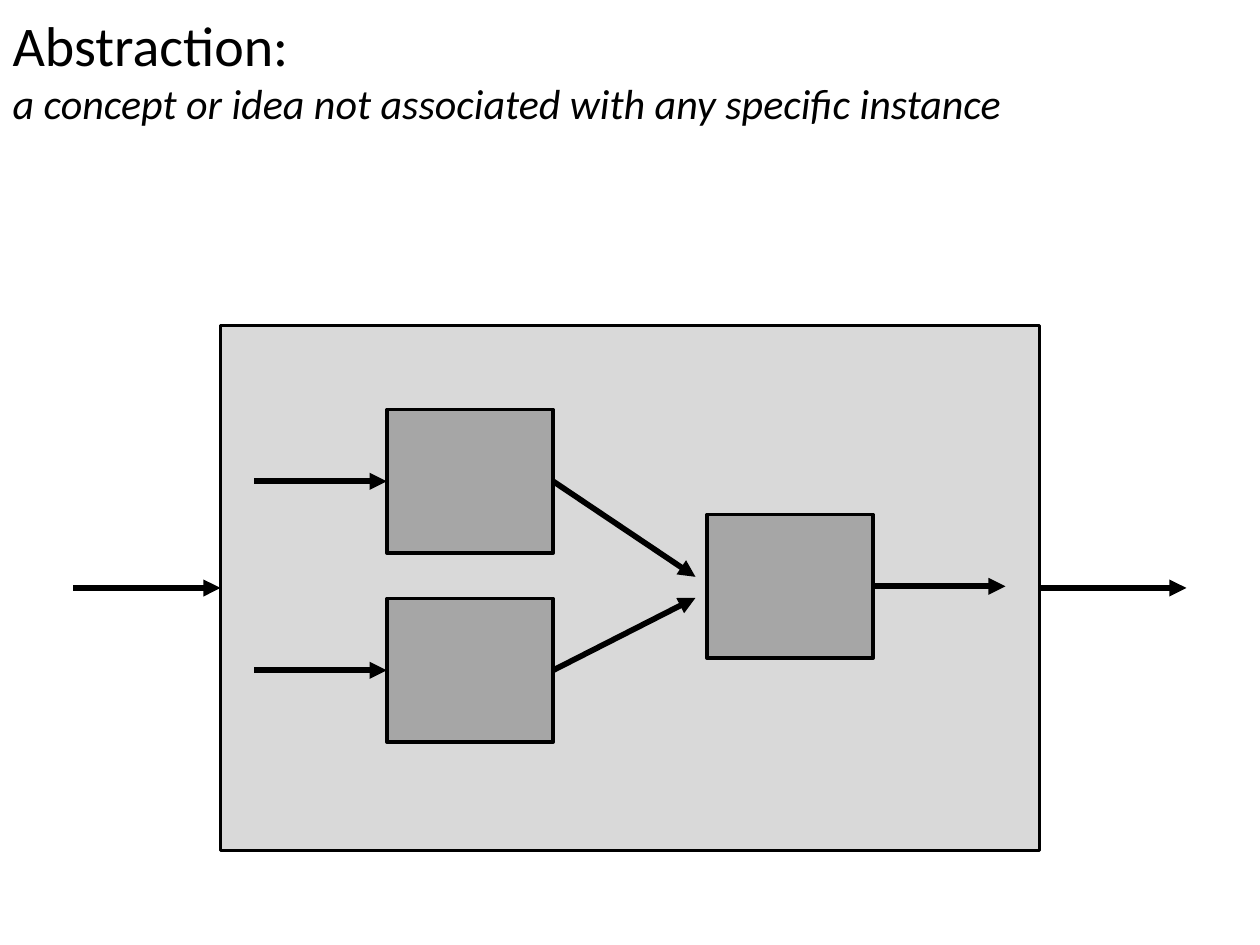
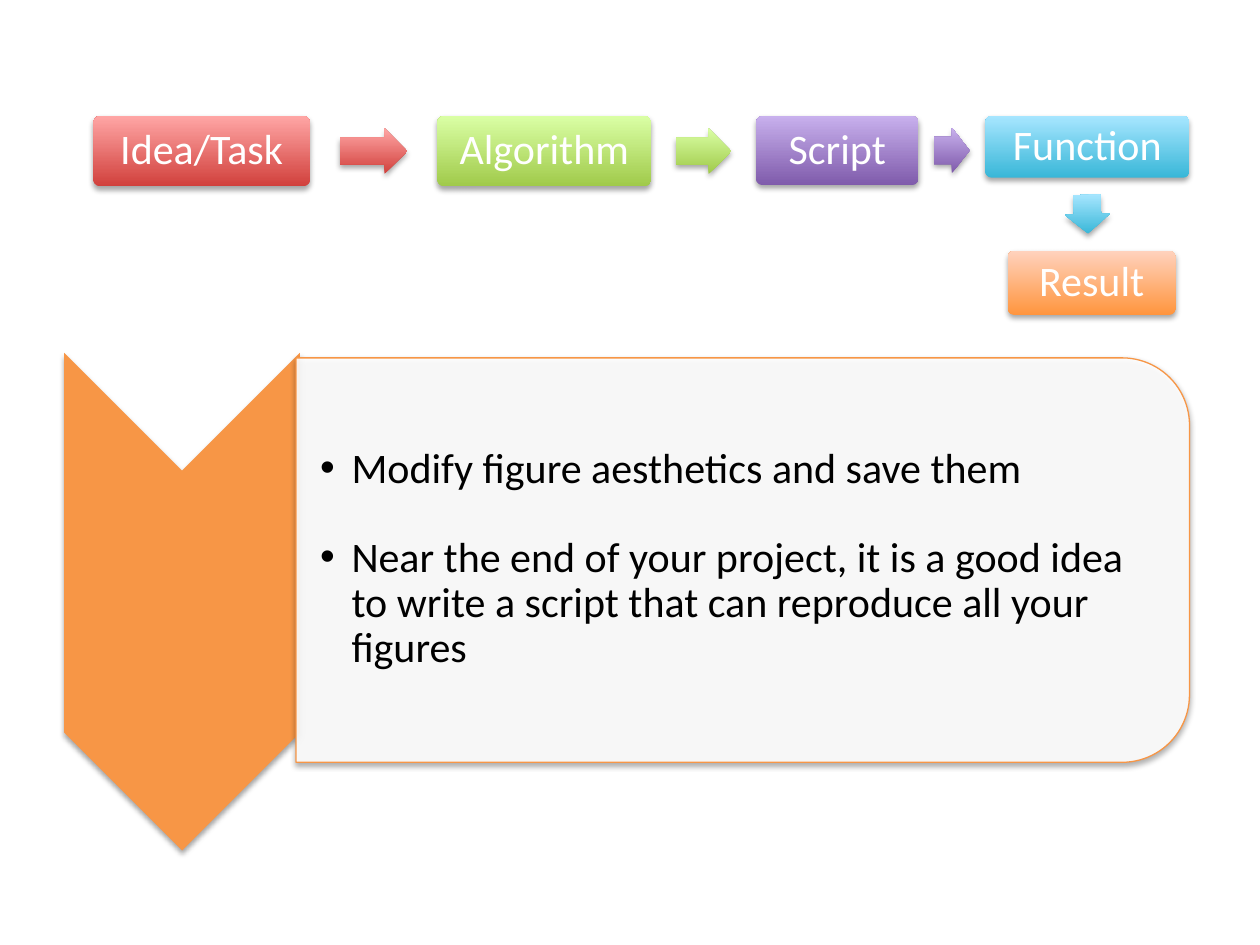
from typing import NamedTuple

from lxml import etree
from pptx import Presentation
from pptx.dml.color import RGBColor
from pptx.enum.shapes import MSO_CONNECTOR, MSO_SHAPE
from pptx.enum.text import MSO_ANCHOR, MSO_AUTO_SIZE, PP_ALIGN
from pptx.oxml.ns import qn
from pptx.util import Inches, Pt

RECT, PILL, ARROW = MSO_SHAPE.RECTANGLE, MSO_SHAPE.ROUNDED_RECTANGLE, MSO_SHAPE.RIGHT_ARROW
CHEVRON, ROUND_TOP = MSO_SHAPE.CHEVRON, MSO_SHAPE.ROUND_2_SAME_RECTANGLE
STRAIGHT = MSO_CONNECTOR.STRAIGHT
TOP, MIDDLE = MSO_ANCHOR.TOP, MSO_ANCHOR.MIDDLE
LEFT, CENTER = PP_ALIGN.LEFT, PP_ALIGN.CENTER
NO_FIT = MSO_AUTO_SIZE.NONE

COLUMNS, ROWS = 120, 90
WIDTH, HEIGHT = Inches(10), Inches(7.5)
FONT = "Calibri"
BLACK, WHITE, ORANGE = "000000", "FFFFFF", "F79646"
LIGHT_GREY, MID_GREY = "D9D9D9", "A6A6A6"


class Box(NamedTuple):
    """A rectangle in grid columns and rows."""
    x: float
    y: float
    w: float
    h: float

    @property
    def right(self):
        """Return the right edge."""
        return self.x + self.w

    @property
    def bottom(self):
        """Return the bottom edge."""
        return self.y + self.h

    @property
    def mid_x(self):
        """Return the horizontal centre."""
        return self.x + self.w / 2

    @property
    def mid_y(self):
        """Return the vertical centre."""
        return self.y + self.h / 2

    def inner(self, x, y, w, h):
        """Return a box offset from this one's corner."""
        return Box(self.x + x, self.y + y, w, h)

    def turned(self):
        """Swap width and height around the centre."""
        return Box(self.mid_x - self.h / 2, self.mid_y - self.w / 2, self.h, self.w)

    def emu(self):
        """Return left, top, width and height as slide lengths."""
        return (*point(self.x, self.y), *point(self.w, self.h))


def point(x, y):
    """Convert grid columns and rows to slide lengths."""
    return round(x * WIDTH / COLUMNS), round(y * HEIGHT / ROWS)


def rgb(value):
    """Return the colour of a hex string."""
    return RGBColor.from_string(value)


def apply(target, values):
    """Set each attribute in values on target."""
    for name, value in values.items():
        setattr(target, name, value)


def add_run(paragraph, text, size, color, italic=False):
    """Append formatted text to a paragraph."""
    run = paragraph.add_run()
    run.text = text
    apply(run.font, {"name": FONT, "size": Pt(size), "italic": italic})
    run.font.color.rgb = rgb(color)


def add_shape(slide, kind, box, fill=None, outline=None, weight=1, rotation=0):
    """Add a flat preset shape."""
    shape = slide.shapes.add_shape(kind, *box.emu())
    apply(shape, {"rotation": rotation})
    shape.shadow.inherit = False
    if fill:
        shape.fill.solid()
        shape.fill.fore_color.rgb = rgb(fill)
    if outline:
        shape.line.color.rgb = rgb(outline)
        shape.line.width = Pt(weight)
    else:
        shape.line.fill.background()
    return shape


def add_shadow(shape):
    """Cast a soft shadow straight down."""
    effects = shape._element.spPr.find(qn("a:effectLst"))
    outer = etree.SubElement(effects, qn("a:outerShdw"), blurRad="40000",
                             dist="23000", dir="5400000", rotWithShape="0")
    tint = etree.SubElement(outer, qn("a:srgbClr"), val=BLACK)
    etree.SubElement(tint, qn("a:alpha"), val="35000")


def shade(shape, dark, light):
    """Fill a shape from dark at the bottom to light at the top."""
    shape.fill.gradient()
    shape.fill.gradient_angle = 90
    for stop, color in zip(shape.fill.gradient_stops, (dark, light)):
        stop.color.rgb = rgb(color)
    shape._element.spPr.find(qn("a:gradFill")).set("rotWithShape", "0")
    add_shadow(shape)


def add_arrow(slide, start, end):
    """Draw a line with a triangular head between two grid points."""
    arrow = slide.shapes.add_connector(STRAIGHT, *point(*start), *point(*end))
    arrow.line.color.rgb = rgb(BLACK)
    arrow.line.width = Pt(3.25)
    etree.SubElement(arrow.line._get_or_add_ln(), qn("a:tailEnd"), type="triangle")
    etree.SubElement(arrow._element.spPr, qn("a:effectLst"))


def add_heading(slide, box, term, definition):
    """Write a term and its definition in the title placeholder."""
    title = slide.shapes.title
    apply(title, dict(zip(("left", "top", "width", "height"), box.emu())))
    apply(title.text_frame, {"vertical_anchor": TOP, "auto_size": NO_FIT,
                             "word_wrap": True, "margin_top": Inches(0.08)})
    paragraph = title.text_frame.paragraphs[0]
    paragraph.alignment = LEFT
    add_run(paragraph, term, 32, BLACK)
    paragraph.add_line_break()
    add_run(paragraph, definition, 24, BLACK, italic=True)


def add_system(slide, box):
    """Draw a system whose two input parts feed one output part."""
    part_w, part_h, reach, link = 15.84, 13.68, 12.6, 14
    add_shape(slide, RECT, box, LIGHT_GREY, BLACK, 2)
    for x in (box.x - link, box.right):
        add_arrow(slide, (x, box.mid_y), (x + link, box.mid_y))
    merge = box.inner(46.32, 18, part_w, part_h)
    add_shape(slide, RECT, merge, MID_GREY, BLACK, 2)
    add_arrow(slide, (merge.right, merge.mid_y), (merge.right + reach, merge.mid_y))
    for y, landing in ((8, -0.9), (26, 1.1)):
        source = box.inner(15.84, y, part_w, part_h)
        add_shape(slide, RECT, source, MID_GREY, BLACK, 2)
        add_arrow(slide, (source.x - reach, source.mid_y), (source.x, source.mid_y))
        add_arrow(slide, (source.right, source.mid_y),
                  (merge.x - 1.08, merge.mid_y + landing))


def add_step(slide, box, label, colors):
    """Draw one labelled step of the workflow."""
    step = add_shape(slide, PILL, box)
    step.adjustments[0] = 0.1
    shade(step, *colors)
    margins = dict.fromkeys(("margin_left", "margin_right", "margin_top",
                             "margin_bottom"), Inches(0.1))
    apply(step.text_frame, {"vertical_anchor": MIDDLE, "word_wrap": True, **margins})
    paragraph = step.text_frame.paragraphs[0]
    apply(paragraph, {"alignment": CENTER, "line_spacing": 0.9})
    add_run(paragraph, label, 24, WHITE)


def add_step_arrow(slide, before, after, colors):
    """Centre a block arrow in the gap between two steps."""
    share, thickness = 0.53, 4.32
    down = after.y > before.bottom
    if down:
        length = (after.y - before.bottom) * share
        x, y = before.mid_x, (before.bottom + after.y) / 2
    else:
        length = (after.x - before.right) * share
        x, y = (before.right + after.x) / 2, before.mid_y
    box = Box(x - length / 2, y - thickness / 2, length, thickness)
    arrow = add_shape(slide, ARROW, box, rotation=88.3 if down else 0)
    arrow.adjustments[0] = 0.6
    shade(arrow, *colors)


def add_workflow(slide, box):
    """Draw the steps from idea to result, joined by arrows."""
    steps = [
        ("Idea/Task", (0, 0, 20.64, 6.72), ("D1403C", "FFA6A5")),
        ("Algorithm", (32.76, 0, 20.4, 6.72), ("A0CA4A", "DAFFA5")),
        ("Script", (63.12, 0, 15.48, 6.6), ("7F5BAB", "C8B0ED")),
        ("Function", (84.96, 0, 19.44, 5.88), ("39B7D8", "A7E6FF")),
        ("Result", (87.12, 12.84, 15.96, 6.12), ("FF953E", "FFD2BD")),
    ]
    places = [box.inner(*place) for _, place, _ in steps]
    for index, (label, _, colors) in enumerate(steps):
        add_step(slide, places[index], label, colors)
        if index + 1 < len(steps):
            add_step_arrow(slide, places[index], places[index + 1], colors)


def add_advice(slide, box, points):
    """Draw a chevron beside a rounded panel of bullet points."""
    chevron = Box(box.x, box.y, 22.44, box.h)
    add_shadow(add_shape(slide, CHEVRON, chevron.turned(), ORANGE, rotation=90))
    panel = box.inner(22.08, 0.48, 85.08, 38.52)
    sheet = add_shape(slide, ROUND_TOP, panel.turned(), WHITE, ORANGE, 0.75, 90)
    tint = sheet._element.spPr.find(qn("a:solidFill"))[0]
    etree.SubElement(tint, qn("a:alpha"), val="90000")
    add_shadow(sheet)

    frame = slide.shapes.add_textbox(*panel.inner(0, 1.8, 83.16, 34.8).emu()).text_frame
    apply(frame, {"word_wrap": True, "vertical_anchor": MIDDLE,
                  "margin_left": Inches(0.19), "margin_right": Inches(0.02),
                  "margin_top": Inches(0.02), "margin_bottom": Inches(0.02)})
    for index, text in enumerate(points):
        paragraph = frame.add_paragraph() if index else frame.paragraphs[0]
        apply(paragraph, {"line_spacing": 0.9, "space_before": Pt(25 if index else 0)})
        layout = paragraph._p.get_or_add_pPr()
        apply_indent = {"marL": Inches(0.25), "indent": -Inches(0.25)}
        for name, value in apply_indent.items():
            layout.set(name, str(value))
        etree.SubElement(layout, qn("a:buFont"), typeface="Arial")
        etree.SubElement(layout, qn("a:buChar"), char="•")
        add_run(paragraph, text, 24, BLACK)


def build_abstraction(deck):
    """Build the slide that defines abstraction."""
    slide = deck.slides.add_slide(deck.slide_layouts.get_by_name("Title Only"))
    add_heading(slide, Box(0, 0, COLUMNS, 15), "Abstraction:",
                "a concept or idea not associated with any specific instance")
    add_system(slide, Box(21, 31, 78, 50))


def build_workflow(deck):
    """Build the slide that leads from an idea to a result."""
    slide = deck.slides.add_slide(deck.slide_layouts.get_by_name("Blank"))
    add_workflow(slide, Box(8.88, 11.04, 104.4, 18.96))
    add_advice(slide, Box(6.12, 33.6, 107.16, 47.4), [
        "Modify figure aesthetics and save them",
        "Near the end of your project, it is a good idea to write a script "
        "that can reproduce all your figures",
    ])


def main():
    """Build and save the deck."""
    deck = Presentation()
    apply(deck, {"slide_width": WIDTH, "slide_height": HEIGHT})
    build_abstraction(deck)
    build_workflow(deck)
    deck.save("out.pptx")


if __name__ == "__main__":
    main()
